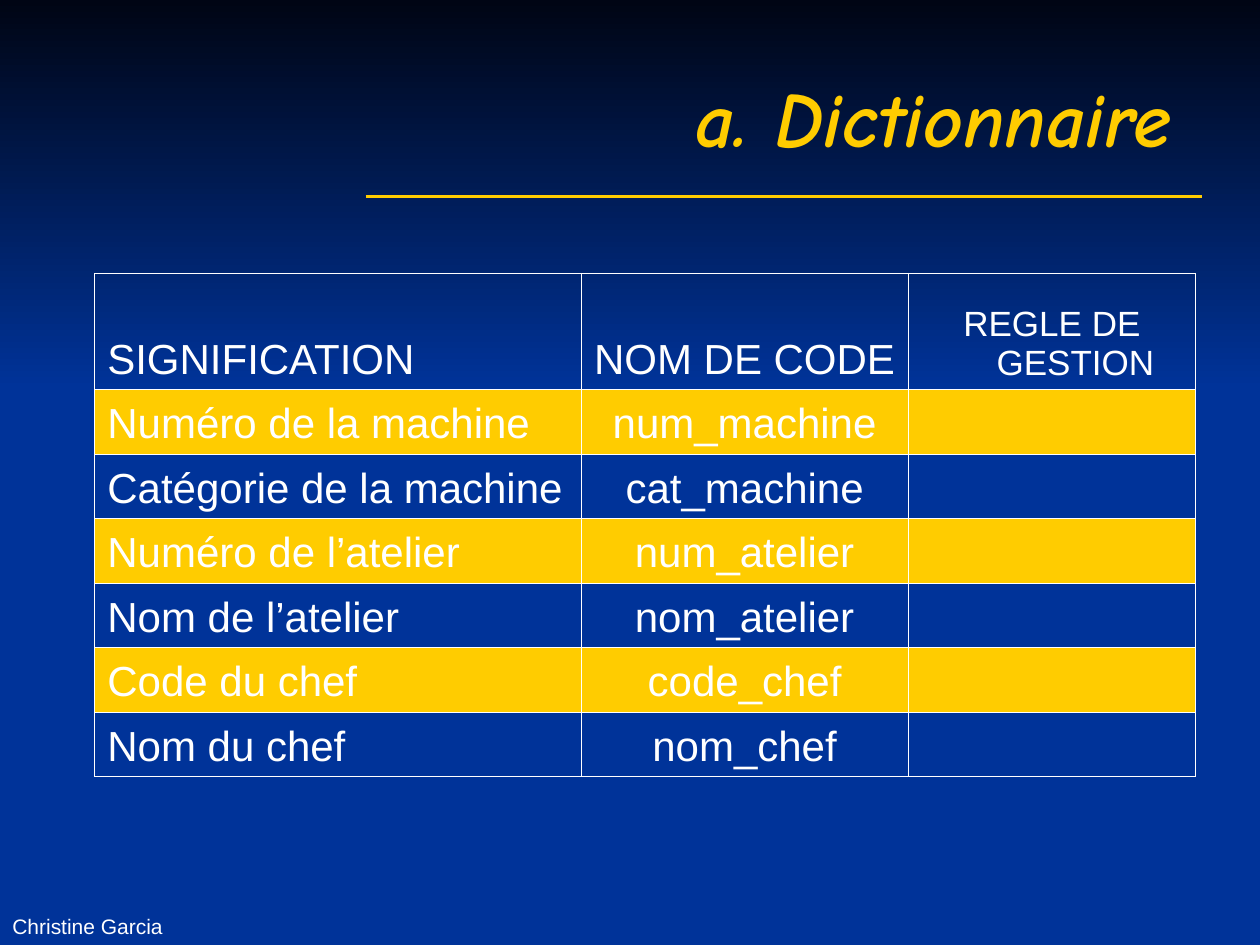
from dataclasses import dataclass

from lxml import etree
from pptx import Presentation
from pptx.dml.color import RGBColor
from pptx.enum.shapes import MSO_CONNECTOR, MSO_SHAPE
from pptx.enum.text import MSO_ANCHOR, PP_ALIGN
from pptx.oxml.ns import qn
from pptx.util import Cm, Pt

LEFT, CENTER, RIGHT = PP_ALIGN.LEFT, PP_ALIGN.CENTER, PP_ALIGN.RIGHT
MIDDLE, BOTTOM = MSO_ANCHOR.MIDDLE, MSO_ANCHOR.BOTTOM
RECT, STRAIGHT = MSO_SHAPE.RECTANGLE, MSO_CONNECTOR.STRAIGHT


@dataclass(frozen=True)
class Theme:
    night: str = "000514"
    blue: str = "003399"
    gold: str = "FFCC00"
    white: str = "FFFFFF"
    head: str = "Comic Neue"
    body: str = "Arial"
    title: int = 44
    text: int = 24
    small: int = 20
    note: int = 12
    rule: float = 2
    edge: float = 0.45


THEME = Theme()
HEADS = ("SIGNIFICATION", "NOM DE CODE", "REGLE DE GESTION")
ROWS = (
    ("Numéro de la machine", "num_machine", ""),
    ("Catégorie de la machine", "cat_machine", ""),
    ("Numéro de l’atelier", "num_atelier", ""),
    ("Nom de l’atelier", "nom_atelier", ""),
    ("Code du chef", "code_chef", ""),
    ("Nom du chef", "nom_chef", ""),
)
COLS = (9.8, 6.6, 5.79)
ALIGNS = (LEFT, CENTER, CENTER)


def rgb(code):
    return RGBColor.from_string(code)


def style(para, size, face=THEME.body, color=THEME.white, align=LEFT):
    para.alignment = align
    font = para.font
    font.name, font.size = face, Pt(size)
    font.color.rgb = rgb(color)
    return font


def label(slide, box, text, anchor):
    frame = slide.shapes.add_textbox(*map(Cm, box)).text_frame
    frame.word_wrap = True
    frame.vertical_anchor = anchor
    frame.text = text
    return frame.paragraphs[0]


def backdrop(slide, box):
    base = slide.background.fill
    base.solid()
    base.fore_color.rgb = rgb(THEME.blue)
    band = slide.shapes.add_shape(RECT, *map(Cm, box))
    band.shadow.inherit = False
    band.line.fill.background()
    band.fill.gradient()
    band.fill.gradient_angle = 270
    for stop, color in zip(band.fill.gradient_stops, (THEME.night, THEME.blue)):
        stop.color.rgb = rgb(color)


def header(slide, box):
    left, top, width, height = box
    right, low = left + width - 0.13, top + height + 0.02
    line = slide.shapes.add_connector(
        STRAIGHT, Cm(left + 6.1), Cm(low), Cm(right), Cm(low))
    line.line.color.rgb = rgb(THEME.gold)
    line.line.width = Pt(THEME.rule)
    etree.SubElement(line._element.spPr, qn("a:effectLst"))
    para = label(slide, (left, top, width - 0.5, height), "a. Dictionnaire", MIDDLE)
    font = style(para, THEME.title, THEME.head, THEME.gold, RIGHT)
    font.bold = font.italic = True


def border(cell):
    props = cell._tc.get_or_add_tcPr()
    for side in ("lnL", "lnR", "lnT", "lnB"):
        line = etree.SubElement(props, qn(f"a:{side}"), w=str(Pt(THEME.edge)))
        fill = etree.SubElement(line, qn("a:solidFill"))
        etree.SubElement(fill, qn("a:srgbClr"), val=THEME.white)


def paint(cell, text, size, align, gold):
    border(cell)
    if gold:
        cell.fill.solid()
        cell.fill.fore_color.rgb = rgb(THEME.gold)
    else:
        cell.fill.background()
    cell.vertical_anchor = BOTTOM
    cell.text = text
    para = cell.text_frame.paragraphs[0]
    props = para._p.get_or_add_pPr()
    props.set("marL", str(Cm(0.95)))
    props.set("indent", str(-Cm(0.95)))
    style(para, size, align=align)


def grid(slide, box):
    lines = (HEADS, *ROWS)
    shape = slide.shapes.add_table(len(lines), len(COLS), *map(Cm, box))
    table = shape.table
    table.first_row = table.horz_banding = False
    for col, width in zip(table.columns, COLS):
        col.width = Cm(width)
    for i, line in enumerate(lines):
        table.rows[i].height = Cm(1.3 if i else 2.34)
        for j, text in enumerate(line):
            size = THEME.small if text == HEADS[-1] else THEME.text
            paint(table.cell(i, j), text, size, ALIGNS[j], i % 2 == 1)


def footer(slide, box):
    style(label(slide, box, "Christine Garcia", BOTTOM), THEME.note)


def main():
    deck = Presentation()
    deck.slide_width, deck.slide_height = Cm(25.4), Cm(19.05)
    slide = deck.slides.add_slide(deck.slide_layouts[6])
    backdrop(slide, (0, 0, 25.4, 7.84))
    header(slide, (1.27, 0.76, 23.1, 3.18))
    grid(slide, (1.91, 5.51, sum(COLS), 10.14))
    footer(slide, (0, 17.73, 8.05, 1.32))
    deck.save("out.pptx")


if __name__ == "__main__":
    main()
